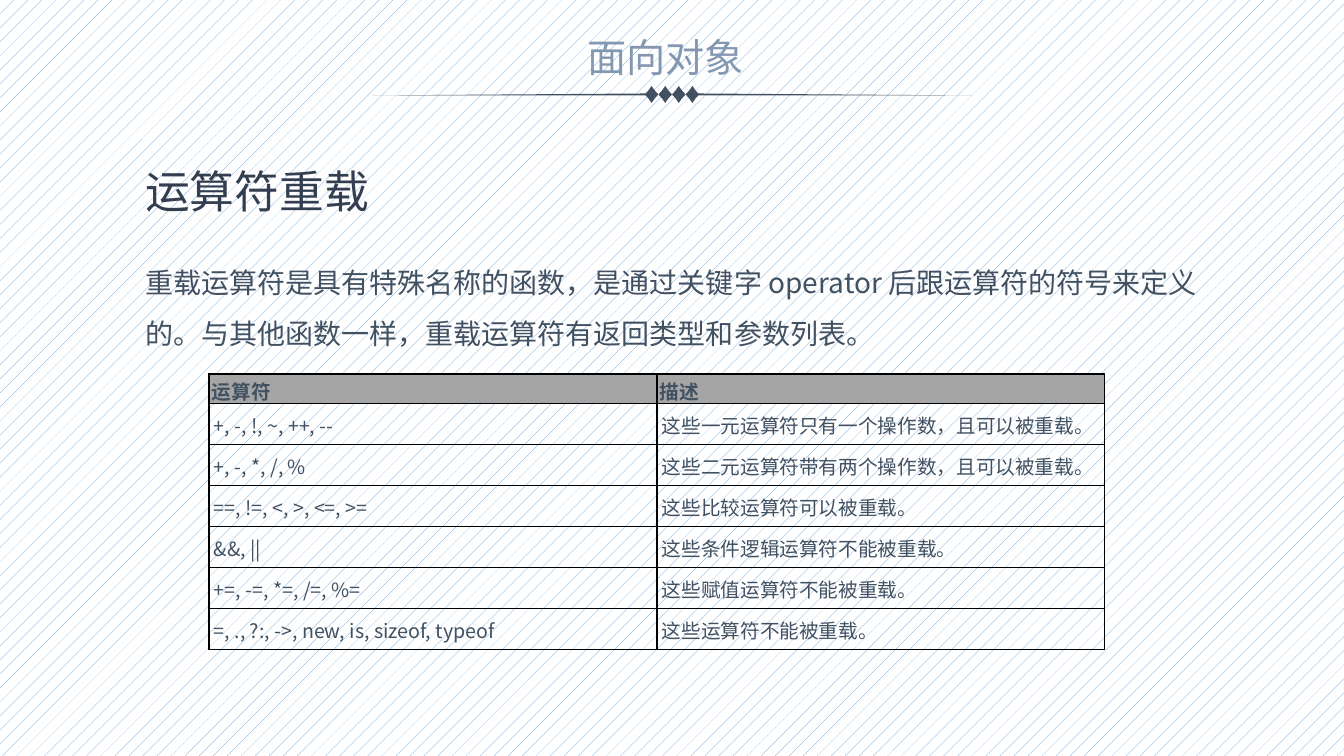
from lxml.etree import SubElement
from pptx import Presentation
from pptx.dml.color import RGBColor
from pptx.enum.dml import MSO_PATTERN
from pptx.enum.text import MSO_ANCHOR, MSO_AUTO_SIZE, PP_ALIGN
from pptx.oxml.ns import qn
from pptx.util import Pt

PX = 12192000 / 1344
FONT = "Noto Sans CJK SC"
SLATE, NAVY, MIST = "415162", "333F50", "8497B0"
BLACK, GREY, WHITE, BLUE = "000000", "A5A5A5", "FFFFFF", "5B9BD5"

OPERATORS = [
    ("运算符", "描述"),
    ("+, -, !, ~, ++, --", "这些一元运算符只有一个操作数，且可以被重载。"),
    ("+, -, *, /, %", "这些二元运算符带有两个操作数，且可以被重载。"),
    ("==, !=, <, >, <=, >=", "这些比较运算符可以被重载。"),
    ("&&, ||", "这些条件逻辑运算符不能被重载。"),
    ("+=, -=, *=, /=, %=", "这些赋值运算符不能被重载。"),
    ("=, ., ?:, ->, new, is, sizeof, typeof", "这些运算符不能被重载。"),
]


def px(length):
    return round(length * PX)


def color(value):
    return RGBColor.from_string(value)


def place(shape, box):
    shape.left, shape.top, shape.width, shape.height = map(px, box)


def write(frame, text, size=14, ink=SLATE, bold=False, align=PP_ALIGN.LEFT, spacing=1.0):
    frame.word_wrap = True
    paragraph = frame.paragraphs[0]
    paragraph.alignment = align
    paragraph.line_spacing = spacing
    paragraph.space_before = Pt(0)
    run = paragraph.add_run()
    run.text = text
    font = run.font
    font.name, font.size, font.bold = FONT, Pt(size), bold
    font.color.rgb = color(ink)
    SubElement(run._r.get_or_add_rPr(), qn("a:ea"), typeface=FONT)
    return paragraph


def fill_placeholder(holder, box, text, **style):
    place(holder, box)
    holder.text_frame.auto_size = MSO_AUTO_SIZE.NONE
    holder.text_frame.vertical_anchor = MSO_ANCHOR.TOP
    return write(holder.text_frame, text, **style)


def draw_outline(slide, points):
    start, *rest = [(px(x), px(y)) for x, y in points]
    builder = slide.shapes.build_freeform(*start, scale=1.0)
    builder.add_line_segments(rest, close=True)
    outline = builder.convert_to_shape()
    outline.shadow.inherit = False
    outline.fill.solid()
    outline.fill.fore_color.rgb = color(SLATE)
    outline.line.fill.background()


def add_ornament(slide, box):
    left, top, width, height = box
    center, middle = left + width / 2, top + height / 2
    pitch, count = 13.6, 4
    half = pitch / 2

    # Row of diamonds with slightly hollow edges
    for index in range(count):
        x = center + (index - (count - 1) / 2) * pitch
        dx, dy = half * 0.47, height * 0.23
        draw_outline(slide, [
            (x, top), (x + dx, middle - dy), (x + half, middle), (x + dx, middle + dy),
            (x, top + height), (x - dx, middle + dy), (x - half, middle), (x - dx, middle - dy),
        ])

    # Rules that taper outwards
    for side in (-1, 1):
        inner = center + side * (count * half - 1)
        outer = center + side * width / 2
        draw_outline(slide, [(outer, middle + 1), (inner, middle - 1), (inner, middle + 1)])


def add_chapter_header(slide, box):
    left, top, width, height = box
    chapter = slide.shapes.add_textbox(*map(px, (left + 167, top, 253, 57)))
    write(chapter.text_frame, "面向对象", size=28, ink=MIST, align=PP_ALIGN.CENTER)
    add_ornament(slide, (left, top + height - 17, width, 17))


def add_explanation(slide, box):
    left, top, width, height = box
    fill_placeholder(slide.shapes.title, (left, top, 467, 65), "运算符重载", size=32, ink=NAVY)
    definition = fill_placeholder(
        slide.placeholders[1], (left, top + 85, width, height - 85),
        "重载运算符是具有特殊名称的函数，是通过关键字 operator 后跟运算符的符号来定义的。"
        "与其他函数一样，重载运算符有返回类型和参数列表。",
        size=20, spacing=1.5)
    properties = definition._p.get_or_add_pPr()
    properties.set("marL", "0")
    properties.set("indent", "0")
    SubElement(properties, qn("a:buNone"))


def add_borders(cell):
    properties = cell._tc.get_or_add_tcPr()
    for position, edge in enumerate(("a:lnL", "a:lnR", "a:lnT", "a:lnB")):
        line = SubElement(properties, qn(edge), w=str(Pt(1)))
        SubElement(SubElement(line, qn("a:solidFill")), qn("a:srgbClr"), val=BLACK)
        properties.insert(position, line)


def add_operator_table(slide, box):
    frame = slide.shapes.add_table(len(OPERATORS), 2, *map(px, box))
    table = frame.table
    table.horz_banding = False
    for row_index, texts in enumerate(OPERATORS):
        heading = row_index == 0
        # The heading row takes its height from its text
        table.rows[row_index].height = 0 if heading else px(41)
        side, end = (3, 3) if heading else (5, 7)
        for column, text in enumerate(texts):
            cell = table.cell(row_index, column)
            cell.margin_left = cell.margin_right = px(side)
            cell.margin_top = cell.margin_bottom = px(end)
            if heading:
                cell.fill.solid()
                cell.fill.fore_color.rgb = color(GREY)
            else:
                cell.fill.background()
            write(cell.text_frame, text, bold=heading)
            add_borders(cell)
    frame.height = px(box[3])


def set_background(slide):
    fill = slide.background.fill
    fill.patterned()
    fill.pattern = MSO_PATTERN.PERCENT_5
    fill.fore_color.rgb = color(BLUE)
    fill.back_color.rgb = color(WHITE)


def main():
    deck = Presentation()
    deck.slide_width, deck.slide_height = px(1344), px(756)
    slide = deck.slides.add_slide(deck.slide_layouts[1])
    set_background(slide)
    add_chapter_header(slide, (372, 28, 600, 75))
    add_explanation(slide, (135, 159, 1075, 197))
    add_operator_table(slide, (209, 374, 896, 275))
    deck.save("out.pptx")


if __name__ == "__main__":
    main()
